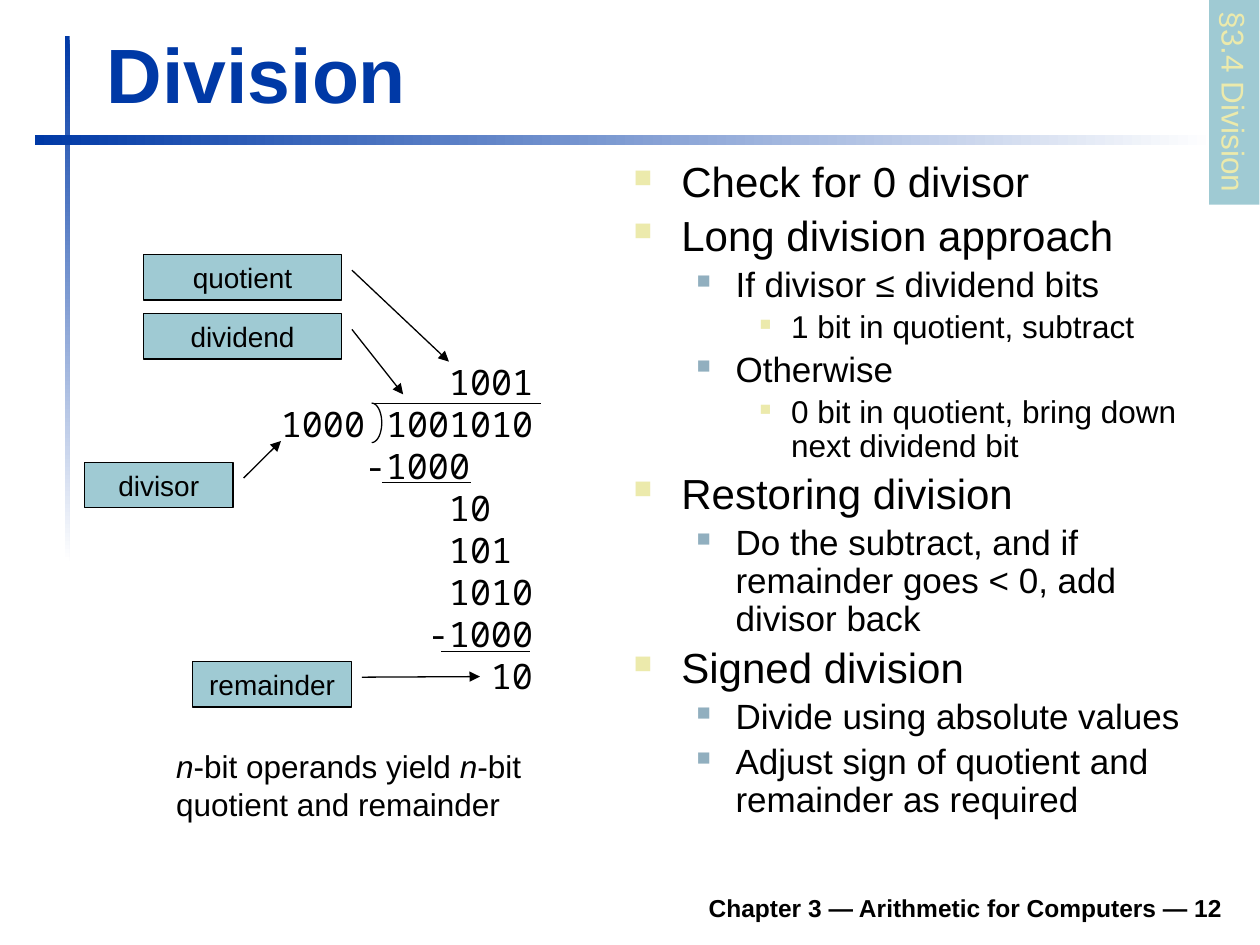
from math import cos, pi, sin

from lxml import etree
from pptx import Presentation
from pptx.dml.color import RGBColor
from pptx.enum.shapes import MSO_CONNECTOR, MSO_SHAPE
from pptx.enum.text import MSO_ANCHOR, PP_ALIGN
from pptx.oxml.ns import qn
from pptx.util import Inches, Pt

RECT, CALL = MSO_SHAPE.RECTANGLE, MSO_SHAPE.LINE_CALLOUT_1
LINE = MSO_CONNECTOR.STRAIGHT
LEFT, MID, RIGHT = PP_ALIGN.LEFT, PP_ALIGN.CENTER, PP_ALIGN.RIGHT
TOP, LOW = MSO_ANCHOR.TOP, MSO_ANCHOR.BOTTOM
WIDE, HIGH = Inches(10), Inches(7.5)
HUES = {"blue": "0039A6", "white": "FFFFFF", "ink": "000000",
        "teal": "9FCAD3", "sand": "ECEAAC", "steel": "91AFBF"}
LEVELS = [(24, 0.38, 0.38, "sand", 60), (20, 0.81, 0.31, "steel", 55),
          (18, 1.25, 0.25, "sand", 50)]
POINTS = [
    (0, "Check for 0 divisor"),
    (0, "Long division approach"),
    (1, "If divisor ≤ dividend bits"),
    (2, "1 bit in quotient, subtract"),
    (1, "Otherwise"),
    (2, "0 bit in quotient, bring down next dividend bit"),
    (0, "Restoring division"),
    (1, "Do the subtract, and if remainder goes < 0, add divisor back"),
    (0, "Signed division"),
    (1, "Divide using absolute values"),
    (1, "Adjust sign of quotient and remainder as required"),
]
DIGITS = [(8, "1001"), (0, "1000 1001010"), (4, "-1000"), (8, "10"),
          (8, "101"), (8, "1010"), (7, "-1000"), (10, "10")]
LABELS = [("quotient", -6.54, -2.52, 9.42, 8, 0.03),
          ("dividend", -6.54, -1.11, 9.42, 5.82, 0.81),
          ("divisor", -9.36, 2.43, 7.08, 0, 1.92),
          ("remainder", -4.2, 7.17, 7.56, 9.48, 7.53)]
RULES = [(4.32, 12.36, 1.02), (4.8, 9.06, 2.91), (7.62, 11.88, 6.93)]
COLS, ROWS = 12, 8
STEPS = 12


def hue(name):
    return RGBColor.from_string(HUES[name])


def emu(box):
    left, top, wide, high = box
    return [round(part * full / 100) for part, full in
            ((left, WIDE), (top, HIGH), (wide, WIDE), (high, HIGH))]


def cell(box, col, row, wide=0, high=0):
    left, top, width, height = box
    return (left + col * width / COLS, top + row * height / ROWS,
            wide * width / COLS, high * height / ROWS)


def write(frame, text, size=18, color="ink", font="Arial", bold=False,
          italic=False, align=LEFT, para=None):
    if para is None:
        para = frame.paragraphs[0]
        if para.runs:
            para = frame.add_paragraph()
        para.alignment = align
    run = para.add_run()
    run.text = text
    run.font.size, run.font.name = Pt(size), font
    run.font.bold, run.font.italic = bold, italic
    run.font.color.rgb = hue(color)
    return para


def pad(slide, box, wrap=True, anchor=TOP):
    shape = slide.shapes.add_textbox(*emu(box))
    shape.text_frame.word_wrap = wrap
    shape.text_frame.vertical_anchor = anchor
    return shape


def pen(shape):
    shape.line.color.rgb = hue("ink")
    shape.line.width = Pt(0.75)


def block(slide, kind, box):
    shape = slide.shapes.add_shape(kind, *emu(box))
    shape.shadow.inherit = False
    return shape


def bar(slide, box, angle):
    shape = block(slide, RECT, box)
    shape.line.fill.background()
    shape.fill.gradient()
    shape.fill.gradient_angle = angle
    for stop, name in zip(shape.fill.gradient_stops, ("blue", "white")):
        stop.color.rgb = hue(name)


def title(slide, box):
    write(pad(slide, box, anchor=LOW).text_frame, "Division",
          size=44, color="blue", bold=True)


def foot(slide, box):
    write(pad(slide, box, anchor=LOW).text_frame,
          "Chapter 3 — Arithmetic for Computers — 12",
          size=14, bold=True, align=RIGHT)


def tab(slide, box):
    shape = pad(slide, box, wrap=False)
    shape.rotation = 90
    shape.fill.solid()
    shape.fill.fore_color.rgb = hue("teal")
    write(shape.text_frame, "§3.4 Division", color="sand")


def bullet(para, margin, hang, color, share):
    props = para._p.get_or_add_pPr()
    props.set("marL", str(Inches(margin)))
    props.set("indent", str(-Inches(hang)))
    tint = etree.SubElement(props, qn("a:buClr"))
    etree.SubElement(tint, qn("a:srgbClr"), val=HUES[color])
    etree.SubElement(props, qn("a:buSzPct"), val=str(share * 1000))
    etree.SubElement(props, qn("a:buFont"), typeface="Wingdings")
    etree.SubElement(props, qn("a:buChar"), char="n")


def points(slide, box):
    frame = pad(slide, box).text_frame
    for count, (level, text) in enumerate(POINTS):
        size, *marks = LEVELS[level]
        para = write(frame, text, size=size)
        bullet(para, *marks)
        para.level = level
        para.line_spacing = 0.9
        if count:
            para.space_before = Pt(size * 0.2)


def label(slide, box, text, col, row, wide, tipx, tipy):
    high = 1.08
    shape = block(slide, CALL, cell(box, col, row, wide, high))
    shape.fill.solid()
    shape.fill.fore_color.rgb = hue("teal")
    pen(shape)
    ends = (0.346, 1 + 0.5 / wide, (tipy - row) / high, (tipx - col) / wide)
    for spot, value in enumerate(ends):
        shape.adjustments[spot] = value
    etree.SubElement(shape.line._get_or_add_ln(), qn("a:tailEnd"),
                     type="triangle")
    write(shape.text_frame, text, size=16, align=MID)


def rule(slide, box, start, end, row):
    left, top, wide, _ = emu(cell(box, start, row, end - start))
    line = slide.shapes.add_connector(LINE, left, top, left + wide, top)
    pen(line)
    etree.SubElement(line._element.spPr, qn("a:effectLst"))


def curve(slide, box, side):
    left, mid, wide, high = emu(cell(box, 4.32, 1.49, 0.48, 0.47))
    turns = [pi / 2 * step / STEPS for step in range(STEPS + 1)]
    spots = [(left + wide * sin(turn), mid + side * high * cos(turn))
             for turn in turns]
    build = slide.shapes.build_freeform(*spots[0])
    build.add_line_segments(spots[1:], close=False)
    shape = build.convert_to_shape()
    shape.shadow.inherit = False
    shape.fill.background()
    pen(shape)


def work(slide, box):
    frame = pad(slide, cell(box, 0, 0, COLS + 1, ROWS)).text_frame
    frame.margin_left = frame.margin_right = 0
    frame.margin_top = frame.margin_bottom = 0
    step = emu(cell(box, 0, 0, 1))[2]
    for skip, text in DIGITS:
        para = write(frame, text, size=20, font="Noto Sans Mono")
        para._p.get_or_add_pPr().set("marL", str(skip * step))
    for item in RULES:
        rule(slide, box, *item)
    for side in (-1, 1):
        curve(slide, box, side)
    for item in LABELS:
        label(slide, box, *item)


def note(slide, box):
    frame = pad(slide, box, wrap=False).text_frame
    para = write(frame, "n", italic=True)
    write(frame, "-bit operands yield ", para=para)
    write(frame, "n", italic=True, para=para)
    write(frame, "-bit", para=para)
    para.add_line_break()
    write(frame, "quotient and remainder", para=para)


def main():
    deck = Presentation()
    deck.slide_width, deck.slide_height = WIDE, HIGH
    slide = deck.slides.add_slide(deck.slide_layouts[6])
    bar(slide, (5.14, 3.8, 0.4, 55.6), 270)
    bar(slide, (2.75, 14.27, 93.7, 1.07), 0)
    foot(slide, (9.4, 93.07, 88.6, 5.2))
    title(slide, (7.5, 2, 90.3, 11.2))
    points(slide, (49.3, 16.4, 48.7, 74.53))
    work(slide, (22.3, 38.13, 20, 35.56))
    note(slide, (13, 78.4, 29.4, 9.47))
    tab(slide, (89.8, 8.13, 16.3, 5.33))
    deck.save("out.pptx")


if __name__ == "__main__":
    main()
